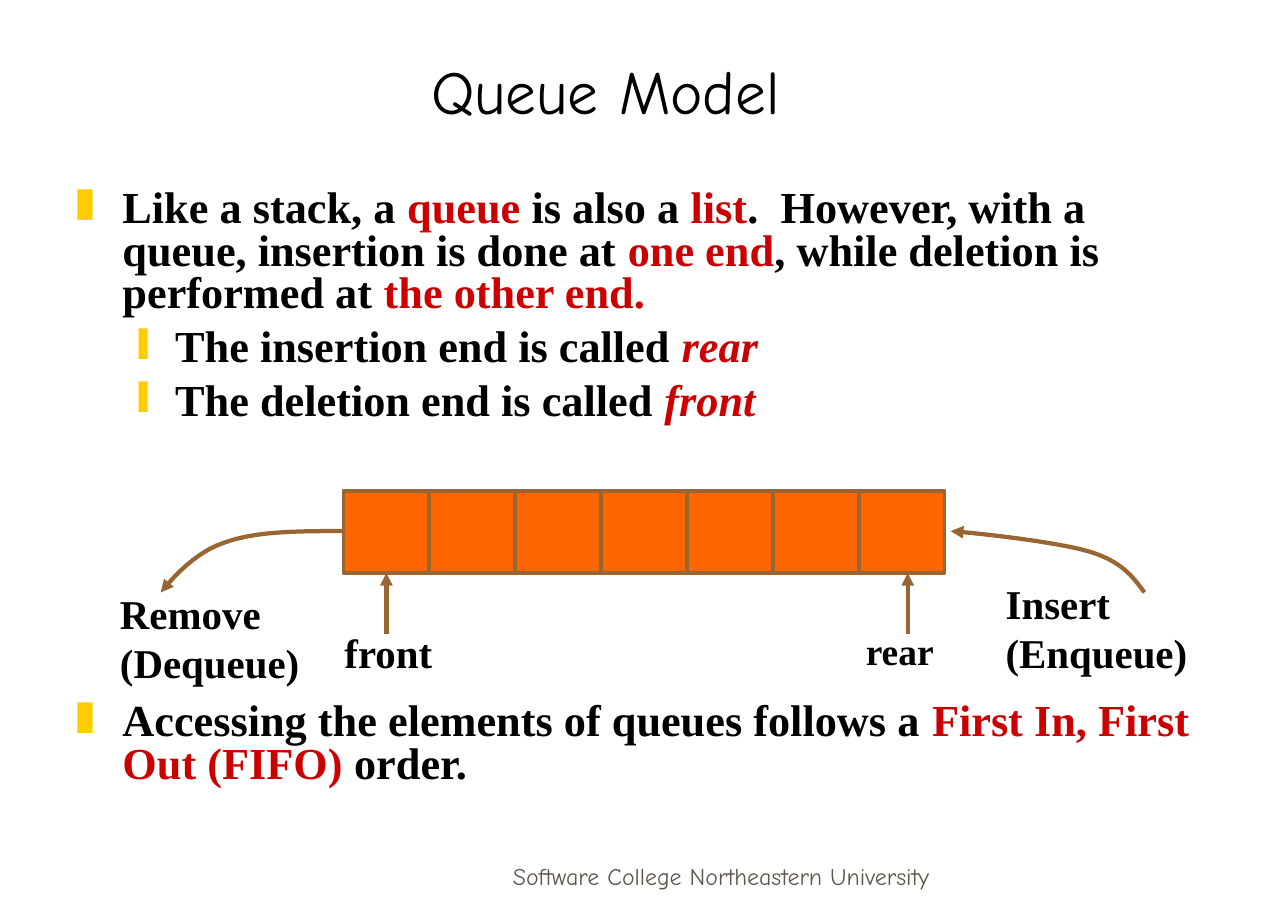
"""Build the Queue Model slide."""
from lxml import etree
from pptx import Presentation
from pptx import util as u
from pptx.dml import color
from pptx.enum import shapes, text
from pptx.oxml import ns

COLORS = {"ink": "000000", "key": "CC0000", "mark": "FFCC00",
          "cell": "FF6600", "edge": "996633", "foot": "5E574E"}
SERIF, COMIC = "Times New Roman", "Comic Neue"
LEFT, MID = text.PP_ALIGN.LEFT, text.PP_ALIGN.CENTER
TOP, LOW = text.MSO_ANCHOR.TOP, text.MSO_ANCHOR.BOTTOM

HEADS = [
    ("Queue Model", (0.47, 0.25, 8.93, 0.83), 36, "ink"),
    ("Software College Northeastern University", (3.59, 6.81, 4.58, 0.5), 14, "foot"),
]
LABELS = [
    ("Insert\v(Enqueue)", (8.1, 4.67, 1.84, 0.9), 24),
    ("Remove\v(Dequeue)", (0.88, 4.75, 1.84, 0.9), 24),
    ("rear", (6.96, 5.07, 0.79, 0.47), 22),
    ("front", (2.71, 5.07, 1.14, 0.5), 24),
]
LEVELS = [("❚", 0.38, 0.38), ("❙", 0.81, 0.31)]
BODY = [
    ((0.52, 1.5, 9.39, 2.1), [
        (0, [("Like a stack, a ", ""), ("queue", "k"), (" is also a ", ""),
             ("list", "k"), (".  However, with a queue, insertion is done at ", ""),
             ("one end", "k"), (", while deletion is performed at ", ""),
             ("the other end.", "k")]),
        (1, [("The insertion end is called ", ""), ("rear", "ki")]),
        (1, [("The deletion end is called ", ""), ("front", "ki")]),
    ]),
    ((0.52, 5.68, 9.39, 0.9), [
        (0, [("Accessing the elements of queues follows a ", ""),
             ("First In, First Out (FIFO)", "k"), (" order.", "")]),
    ]),
]
COUNT, START, ROW, WIDE, HIGH = 7, 2.8, 4, 0.7, 0.67
POINTERS = [3.15, 7.4]
CURVES = [
    [(2.8, 4.33), (2.44, 4.33), (2.09, 4.33), (1.84, 4.42),
     (1.59, 4.5), (1.41, 4.71), (1.31, 4.83)],
    [(9.33, 4.83), (9.24, 4.71), (9.15, 4.58), (8.89, 4.5),
     (8.63, 4.42), (8, 4.35), (7.75, 4.33)],
]
STEPS = 10


def rgb(name):
    """Return a named colour."""
    return color.RGBColor.from_string(COLORS[name])


def style(item, **values):
    """Set attributes from format values."""
    for key, value in values.items():
        setattr(item, key, value)


def add(parent, tag, **attrs):
    """Append a drawing element."""
    return etree.SubElement(parent, ns.qn(tag), attrs)


def box(slide, place, anchor=TOP):
    """Add a wrapping text box and return its frame."""
    frame = slide.shapes.add_textbox(*map(u.Inches, place)).text_frame
    style(frame, word_wrap=True, vertical_anchor=anchor)
    return frame


def note(slide, words, place, size, tint="ink", face=SERIF, bold=True,
         align=LEFT, anchor=TOP):
    """Add a box of text in one style."""
    para = box(slide, place, anchor).paragraphs[0]
    para.text = words
    para.alignment = align
    for item in (para, *para.runs):
        style(item.font, name=face, size=u.Pt(size), bold=bold)
        item.font.color.rgb = rgb(tint)


def bullet(para, level):
    """Give a paragraph its indent and mark."""
    mark, left, hang = LEVELS[level]
    props = para._p.get_or_add_pPr()
    props.set("marL", str(u.Inches(left)))
    props.set("indent", str(-u.Inches(hang)))
    add(add(props, "a:buClr"), "a:srgbClr", val=COLORS["mark"])
    add(props, "a:buFont", typeface=SERIF)
    add(props, "a:buChar", char=mark)


def points(slide, place, items):
    """Add a box of bulleted points."""
    frame = box(slide, place)
    for num, (level, parts) in enumerate(items):
        para = frame.add_paragraph() if num else frame.paragraphs[0]
        bullet(para, level)
        style(para, level=level, line_spacing=0.8,
              space_before=u.Pt(6.5 if num else 0))
        for words, flags in parts:
            run = para.add_run()
            run.text = words
            style(run.font, name=SERIF, size=u.Pt(26), bold=True,
                  italic="i" in flags)
            run.font.color.rgb = rgb("key" if "k" in flags else "ink")


def stroke(shape, width, head=False):
    """Set a line, with an arrowhead at its end on request."""
    shape.line.color.rgb = rgb("edge")
    shape.line.width = u.Pt(width)
    if head:
        add(shape.line._get_or_add_ln(), "a:tailEnd", type="triangle")


def bend(a, b, c, d):
    """Return points along one cubic curve."""
    return [tuple((1 - t) ** 3 * p + 3 * (1 - t) ** 2 * t * q
                  + 3 * (1 - t) * t ** 2 * r + t ** 3 * s
                  for p, q, r, s in zip(a, b, c, d))
            for t in (n / STEPS for n in range(1, STEPS + 1))]


def curve(slide, knots):
    """Add a curved arrow."""
    track = [knots[0]] + bend(*knots[:4]) + bend(*knots[3:])
    first, *rest = [(u.Inches(x), u.Inches(y)) for x, y in track]
    build = slide.shapes.build_freeform(*first)
    build.add_line_segments(rest, close=False)
    shape = build.convert_to_shape()
    shape.shadow.inherit = False
    shape.fill.background()
    stroke(shape, 2.5, True)


def cell(slide, num):
    """Add one cell of the queue."""
    place = START + num * WIDE, ROW, WIDE, HIGH
    shape = slide.shapes.add_shape(shapes.MSO_SHAPE.RECTANGLE, *map(u.Inches, place))
    shape.shadow.inherit = False
    shape.fill.solid()
    shape.fill.fore_color.rgb = rgb("cell")
    stroke(shape, 2.25)


def pointer(slide, x):
    """Add an arrow up to the row of cells."""
    y = ROW + HIGH
    line = slide.shapes.add_connector(
        shapes.MSO_CONNECTOR.STRAIGHT, *map(u.Inches, (x, y + 0.5, x, y)))
    stroke(line, 2.5, True)
    add(line._element.spPr, "a:effectLst")


def main():
    """Draw and save the slide."""
    deck = Presentation()
    style(deck, slide_width=u.Inches(10.5), slide_height=u.Inches(7.5))
    slide = deck.slides.add_slide(deck.slide_layouts[6])
    for words, place, size, tint in HEADS:
        note(slide, words, place, size, tint, COMIC, False, MID, LOW)
    for place, items in BODY:
        points(slide, place, items)
    for num in range(COUNT):
        cell(slide, num)
    for knots in CURVES:
        curve(slide, knots)
    for label in LABELS:
        note(slide, *label)
    for x in POINTERS:
        pointer(slide, x)
    deck.save("out.pptx")


if __name__ == "__main__":
    main()
